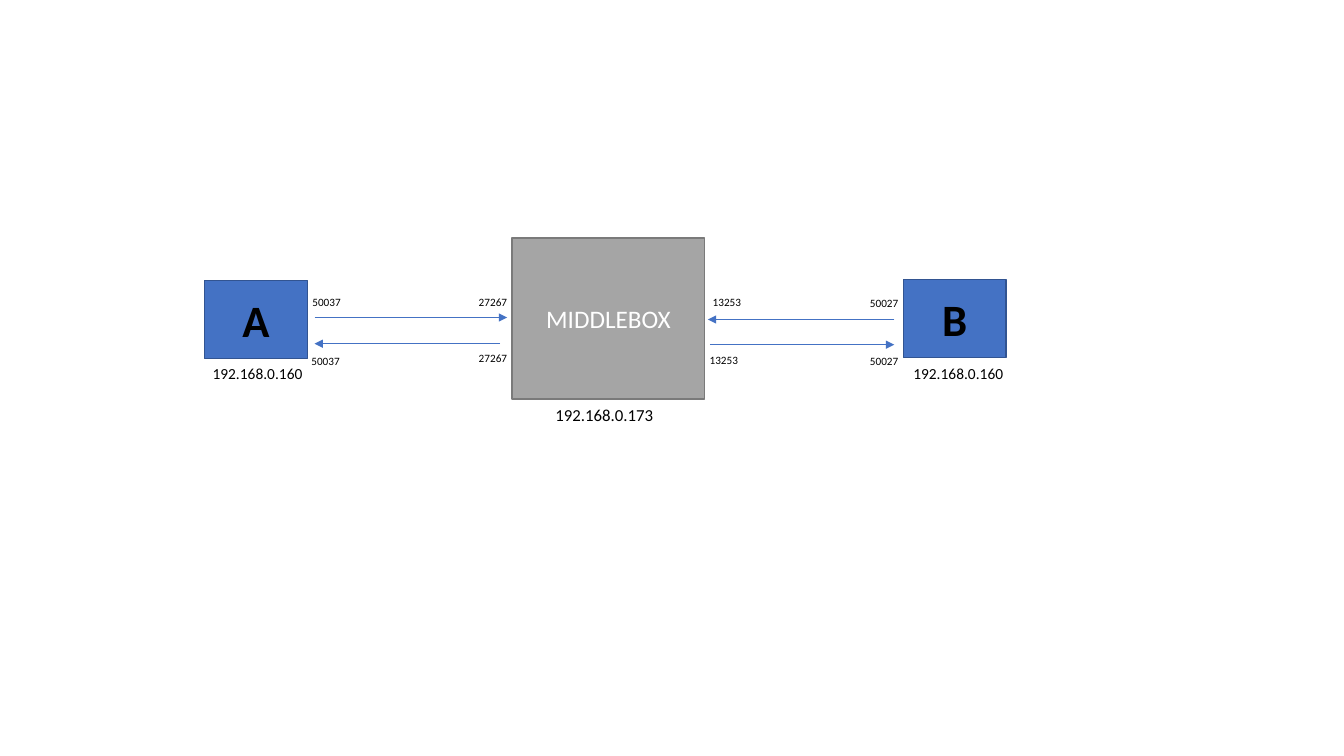
import pptx
import pptx.util
import pptx.dml.color
import pptx.enum.shapes
import pptx.enum.text
import pptx.oxml
import pptx.oxml.ns

Inches = pptx.util.Inches
Pt = pptx.util.Pt
RGBColor = pptx.dml.color.RGBColor

FONT = "Calibri"
BLACK = RGBColor(0x00, 0x00, 0x00)
WHITE = RGBColor(0xFF, 0xFF, 0xFF)
BLUE = RGBColor(0x44, 0x72, 0xC4)
NAVY = RGBColor(0x32, 0x54, 0x91)
GRAY = RGBColor(0xA5, 0xA5, 0xA5)
DARK = RGBColor(0x7A, 0x7A, 0x7A)

HOST = (1.02, 0.78, BLUE, NAVY, 32, BLACK, True)
RELAY = (1.91, 1.6, GRAY, DARK, 18, WHITE, False)
NODES = [
    ("A", 2.03, 2.78, HOST),
    ("MIDDLEBOX", 5.08, 2.36, RELAY),
    ("B", 8.96, 2.77, HOST),
]
HOSTS = [
    ("192.168.0.160", 2.01, 3.56, 11),
    ("192.168.0.173", 5.41, 3.97, 12),
    ("192.168.0.160", 8.96, 3.56, 11),
]
PORTS = [
    ("50037", 0.63, (3.0, 2.88), (2.99, 3.47)),
    ("27267", 0.63, (4.65, 2.88), (4.65, 3.44)),
    ("13253", 0.63, (6.97, 2.88), (6.94, 3.46)),
    ("50027", 0.5, (8.53, 2.89), (8.53, 3.47)),
]
FLOWS = [
    (3.12, 5.03, 3.15),
    (4.96, 3.12, 3.41),
    (8.87, 7.02, 3.17),
    (7.04, 8.87, 3.42),
]


def style(par, text, size, color, bold=False):
    par.text = text
    par.font.name = FONT
    par.font.size = Pt(size)
    par.font.bold = bold
    par.font.color.rgb = color


def add_node(slide, text, left, top, look):
    width, height, fill, edge, size, color, bold = look
    box = slide.shapes.add_shape(
        pptx.enum.shapes.MSO_SHAPE.RECTANGLE,
        Inches(left), Inches(top), Inches(width), Inches(height))
    box.shadow.inherit = False
    box.fill.solid()
    box.fill.fore_color.rgb = fill
    box.line.color.rgb = edge
    box.line.width = Pt(1)
    frame = box.text_frame
    frame.vertical_anchor = pptx.enum.text.MSO_ANCHOR.MIDDLE
    par = frame.paragraphs[0]
    style(par, text, size, color, bold)
    par.alignment = pptx.enum.text.PP_ALIGN.CENTER


def add_label(slide, text, left, top, width, height, size):
    box = slide.shapes.add_textbox(
        Inches(left), Inches(top), Inches(width), Inches(height))
    frame = box.text_frame
    frame.word_wrap = True
    frame.auto_size = pptx.enum.text.MSO_AUTO_SIZE.SHAPE_TO_FIT_TEXT
    style(frame.paragraphs[0], text, size, BLACK)


def add_arrow(slide, start, end, y):
    arrow = slide.shapes.add_connector(
        pptx.enum.shapes.MSO_CONNECTOR.STRAIGHT,
        Inches(start), Inches(y), Inches(end), Inches(y))
    arrow.line.color.rgb = BLUE
    arrow.line.width = Pt(0.5)
    tip = pptx.oxml.parse_xml(
        '<a:tailEnd %s type="triangle"/>' % pptx.oxml.ns.nsdecls("a"))
    arrow.line._get_or_add_ln().append(tip)
    arrow._element.spPr.append(pptx.oxml.parse_xml(
        "<a:effectLst %s/>" % pptx.oxml.ns.nsdecls("a")))


def main():
    deck = pptx.Presentation()
    deck.slide_width = Inches(13.33)
    deck.slide_height = Inches(7.5)
    slide = deck.slides.add_slide(deck.slide_layouts[6])
    for node in NODES:
        add_node(slide, *node)
    for text, left, top, size in HOSTS:
        add_label(slide, text, left, top, 2.1, 0.3, size)
    for flow in FLOWS:
        add_arrow(slide, *flow)
    for text, width, *spots in PORTS:
        for left, top in spots:
            add_label(slide, text, left, top, width, 0.24, 8)
    deck.save("out.pptx")


if __name__ == "__main__":
    main()
